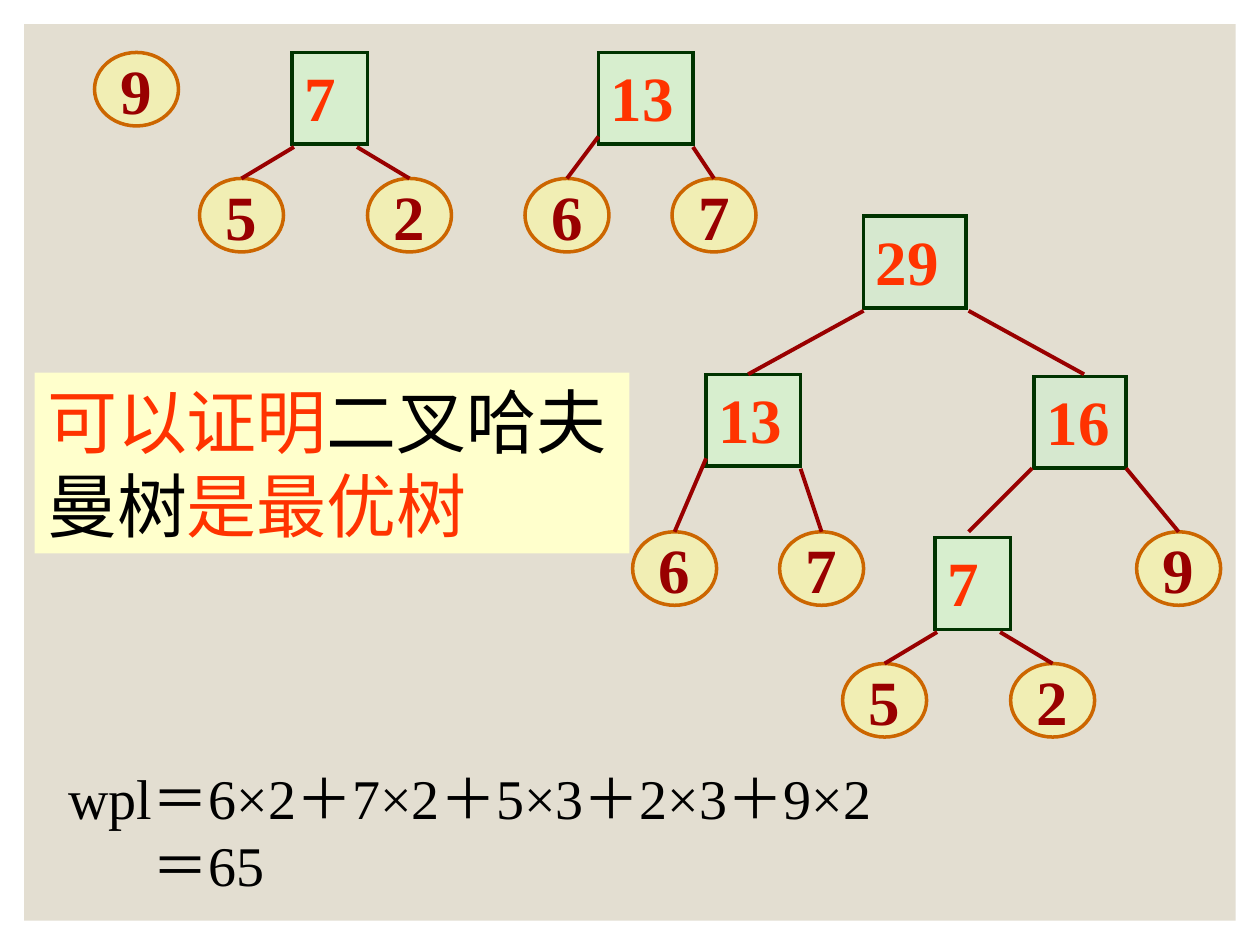
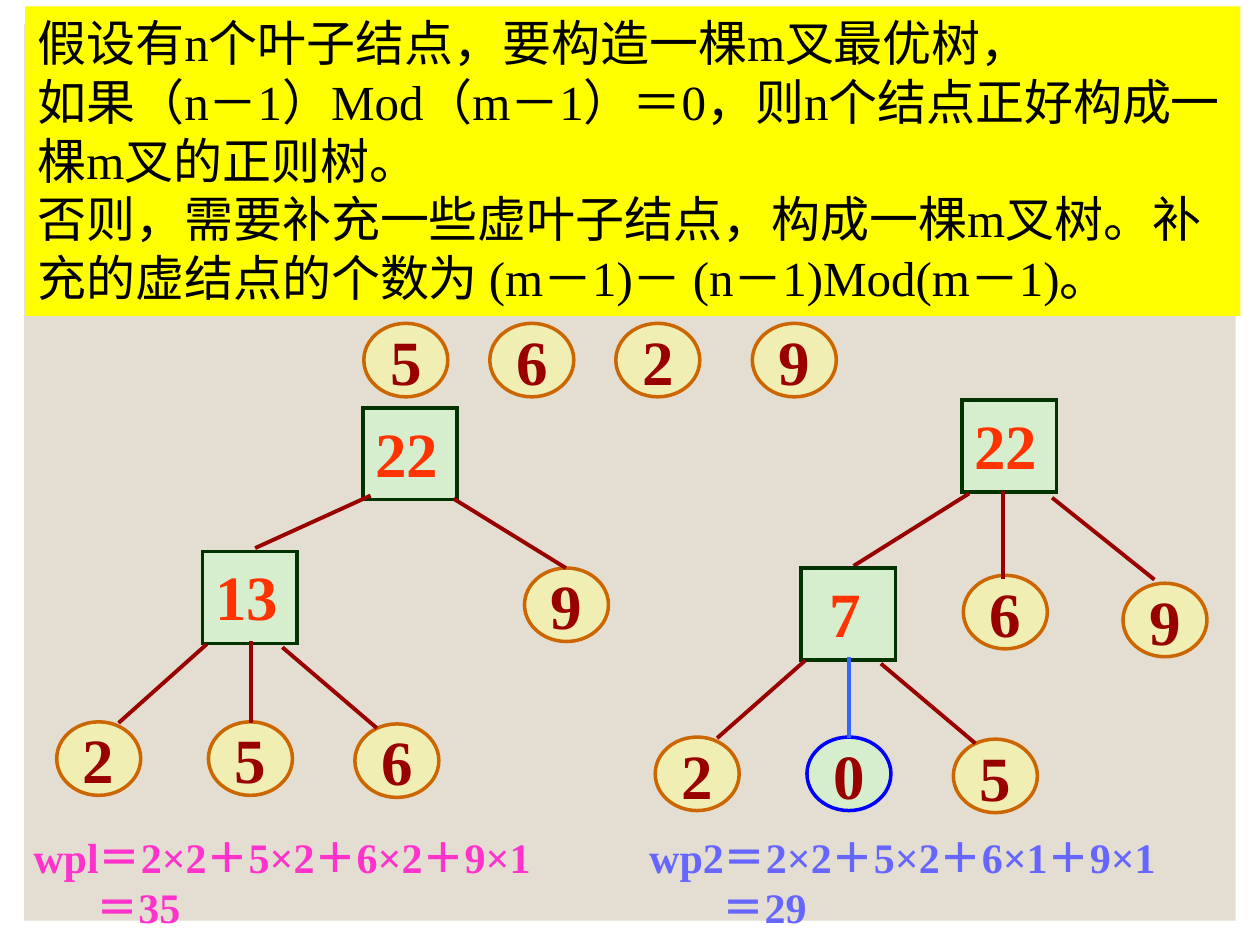
"""Two slides on optimal (Huffman) trees: the binary case and the m-ary case."""
from dataclasses import dataclass

from lxml import etree
from pptx import Presentation
from pptx import util as u
from pptx.dml.color import RGBColor
from pptx.enum import shapes, text
from pptx.oxml.ns import qn

COLUMNS, ROWS = 120, 90
CELL = u.Inches(10) // COLUMNS
FULL_WIDTH_SHIFT = 0xFEE0


@dataclass(frozen=True)
class Theme:
    """Colours, type sizes and node sizes (in cells) shared by both slides."""
    font: str = "Times New Roman"
    band: str = "E3DED1"
    ink: str = "000000"
    accent: str = "FF3300"
    leaf_fill: str = "FFFF99"
    leaf_line: str = "CC6600"
    leaf_text: str = "990000"
    edge: str = "990000"
    sum_fill: str = "CCFFCC"
    top_fill: str = "CAF2CE"
    sum_line: str = "003300"
    virtual_line: str = "0000FF"
    virtual_edge: str = "3366FF"
    claim_fill: str = "FFFFCC"
    rule_fill: str = "FFFF00"
    first_cost: str = "FF33CC"
    second_cost: str = "6666FF"
    node_size: int = 36
    claim_size: int = 40
    wpl_size: int = 32
    rule_size: int = 28
    cost_size: int = 24
    leaf: tuple = (8, 7)
    sum_height: float = 8.75
    sum_width: float = 9
    node_line: float = 2
    edge_line: float = 2.25


@dataclass(frozen=True)
class Family:
    """Cells from a subtree's corner: its sum box, leaves and edges.

    Leaves are (column, extra drop); edges are (x, y, end x, extra drop).
    """
    box: float
    width: float
    leaves: tuple
    edges: tuple


T = Theme()
NARROW_PAIR = Family(7, 9, ((0, 0), (14, 0)), ((7, 8, 4, 0), (16, 9, 18, 0)))
WIDE_PAIR = Family(8.8, 7.2, ((0, 0), (16, 0)), ((9, 9, 4, 0), (15, 9, 20, 0)))
TRIPLE = Family(13.9, 9, ((0, 0), (14.45, 0), (28.4, 0.2)),
                ((14.3, 8.8, 5.9, 0.1), (18.5, 8.5, 18.5, 0.1),
                 (21.5, 9.1, 30.5, 0.6)))


def cells(*counts):
    """Turn counts of grid cells into lengths."""
    return [u.Emu(round(count * CELL)) for count in counts]


def rgb(code):
    """Turn a hex code into a colour."""
    return RGBColor.from_string(code)


def wide(words, marks="=+-,()"):
    """Set the given marks in their full-width forms."""
    return words.translate({ord(mark): ord(mark) + FULL_WIDTH_SHIFT
                            for mark in marks})


def style_run(run, size, color, bold=False):
    """Give a run its type."""
    run.font.name, run.font.size, run.font.bold = T.font, u.Pt(size), bold
    run.font.color.rgb = rgb(color)


def add_panel(canvas, kind, place, fill, line=None, translucent=False):
    """Add a filled shape, outlined when a line colour is given."""
    panel = canvas.add_shape(kind, *cells(*place))
    panel.shadow.inherit = False
    panel.fill.solid()
    panel.fill.fore_color.rgb = rgb(fill)
    if translucent:
        color = panel.fill._xPr.find(".//" + qn("a:srgbClr"))
        etree.SubElement(color, qn("a:alpha"), val="50000")
    if line:
        panel.line.color.rgb = rgb(line)
        panel.line.width = u.Pt(T.node_line)
        outline = panel._element.spPr.find(qn("a:ln"))
        etree.SubElement(outline, qn("a:miter"), lim="800000")
    else:
        panel.line.fill.background()
    return panel


def write(holder, paragraphs, size, bold=False, indents=()):
    """Fill a shape with left-aligned paragraphs of (words, colour) runs."""
    frame = holder.text_frame
    frame.word_wrap = True
    frame.vertical_anchor = text.MSO_ANCHOR.TOP
    for index, pieces in enumerate(paragraphs):
        paragraph = frame.add_paragraph() if index else frame.paragraphs[0]
        paragraph.alignment = text.PP_ALIGN.LEFT
        if indents:
            properties = paragraph._p.get_or_add_pPr()
            properties.set("marL", str(u.Pt(indents[index])))
            properties.set("indent", "0")
        for words, color in pieces:
            run = paragraph.add_run()
            run.text = words
            style_run(run, size, color, bold)


def add_leaf(canvas, x, y, weight, virtual=False):
    """Add a round leaf; a virtual one is green and blue."""
    fill, line = ((T.sum_fill, T.virtual_line) if virtual
                  else (T.leaf_fill, T.leaf_line))
    leaf = add_panel(canvas, shapes.MSO_SHAPE.OVAL, (x, y, *T.leaf),
                     fill, line, translucent=True)
    frame = leaf.text_frame
    frame.text = str(weight)
    frame.word_wrap = False
    frame.vertical_anchor = text.MSO_ANCHOR.MIDDLE
    frame.paragraphs[0].alignment = text.PP_ALIGN.CENTER
    style_run(frame.paragraphs[0].runs[0], T.node_size, T.leaf_text, bold=True)


def add_sum(canvas, x, y, weight, width=T.sum_width, fill=T.sum_fill, indent=0):
    """Add the square of an inner node."""
    box = add_panel(canvas, shapes.MSO_SHAPE.RECTANGLE,
                    (x, y, width, T.sum_height), fill, T.sum_line,
                    translucent=True)
    write(box, [[(str(weight), T.accent)]], T.node_size, True, (indent,))


def add_edge(canvas, start, end, color=T.edge):
    """Draw a branch between two grid points."""
    edge = canvas.add_connector(shapes.MSO_CONNECTOR.STRAIGHT,
                                *cells(*start, *end))
    edge.line.color.rgb = rgb(color)
    edge.line.width = u.Pt(T.edge_line)
    etree.SubElement(edge._element.spPr, qn("a:effectLst"))


def add_family(slide, family, x, y, total, weights, drop, indent=0):
    """Add a grouped subtree; a leaf of weight 0 is virtual."""
    canvas = slide.shapes.add_group_shape().shapes
    add_sum(canvas, x + family.box, y, total, family.width, indent=indent)
    for weight, (column, extra) in zip(weights, family.leaves):
        add_leaf(canvas, x + column, y + drop + extra, weight, weight == 0)
    for weight, (x1, y1, x2, extra) in zip(weights, family.edges):
        add_edge(canvas, (x + x1, y + y1), (x + x2, y + drop + extra),
                 T.edge if weight else T.virtual_edge)


def add_note(slide, place, lines, size, color, bold, indents):
    """Add a sum written out over indented lines."""
    note = slide.shapes.add_textbox(*cells(*place))
    write(note, [[(wide(line), color)] for line in lines], size, bold, indents)


def add_caption(slide, place, paragraphs, size, fill):
    """Add a statement on a coloured panel."""
    panel = add_panel(slide.shapes, shapes.MSO_SHAPE.RECTANGLE, place, fill)
    write(panel, paragraphs, size)


def start_slide(deck):
    """Add a blank slide with the shared band."""
    slide = deck.slides.add_slide(deck.slide_layouts[6])
    add_panel(slide.shapes, shapes.MSO_SHAPE.RECTANGLE,
              (2.3, 2.3, COLUMNS - 4.6, ROWS - 4.6), T.band)
    return slide


def binary_slide(deck):
    """Build the binary tree and the subtrees it grew from."""
    slide = start_slide(deck)
    canvas = slide.shapes
    add_leaf(canvas, 9, 5, 9)
    add_family(slide, WIDE_PAIR, 19, 5, 7, (5, 2), 12)
    add_family(slide, NARROW_PAIR, 50, 5, 13, (6, 7), 12)

    add_sum(canvas, 82.25, 20.6, 29, 9.75, T.top_fill)
    add_sum(canvas, 98.5, 35.85, 16, 8.75, T.top_fill)
    add_leaf(canvas, 108.25, 50.65, 9)
    add_family(slide, NARROW_PAIR, 60.25, 35.65, 13, (6, 7), 15)
    add_family(slide, WIDE_PAIR, 80.25, 51.2, 7, (5, 2), 12)
    for start, end in (((82.25, 29.6), (71.25, 35.65)),
                       ((92.25, 29.6), (103.25, 35.65)),
                       ((98.3, 44.6), (92.25, 50.65)),
                       ((107.25, 44.6), (112.25, 50.65))):
        add_edge(canvas, start, end)

    add_note(slide, (4, 72.1, 99.5, 14), ("wpl=6×2+7×2+5×3+2×3+9×2", "=65"),
             T.wpl_size, T.ink, False, (8, 56))
    add_caption(slide, (3.3, 35.5, 56.65, 17.2),
                [[("可以证明", T.accent), ("二叉哈夫曼树", T.ink),
                  ("是最优树", T.accent)]], T.claim_size, T.claim_fill)


def ternary_slide(deck):
    """Build the rule for m-ary trees and two ternary trees to compare."""
    slide = start_slide(deck)
    canvas = slide.shapes
    for x, weight in zip((34.65, 46.65, 58.65, 71.65), (5, 6, 2, 9)):
        add_leaf(canvas, x, 30.8, weight)

    add_sum(canvas, 34.55, 38.85, 22)
    add_sum(canvas, 91.6, 38.1, 22)
    for x, y, weight in ((49.95, 54.1, 9), (91.75, 54.8, 6), (106.95, 55.55, 9)):
        add_leaf(canvas, x, y, weight)
    for start, end in (((35.3, 47.2), (24.3, 52.2)),
                       ((43.2, 47.5), (53.9, 54.1)),
                       ((92.3, 47), (81.3, 53.9)),
                       ((100.2, 47.4), (109.95, 55.2)),
                       ((95.5, 46.8), (95.5, 55.1))):
        add_edge(canvas, start, end)
    add_family(slide, TRIPLE, 5.4, 52.55, 13, (2, 5, 6), 16.2)
    add_family(slide, TRIPLE, 62.4, 54.1, 7, (2, 0, 5), 16.1, indent=9)

    for x, lines, color, indent in (
            (1, ("wpl=2×2+5×2+6×2+9×1", "=35"), T.first_cost, 42),
            (59.65, ("wp2=2×2+5×2+6×1+9×1", "=29"), T.second_cost, 48)):
        add_note(slide, (x, 78.6, 61.4, 10.8), lines, T.cost_size, color,
                 True, (6, indent))
    rule = (wide("假设有n个叶子结点,要构造一棵m叉最优树,"),
            wide("如果(n-1)Mod(m-1)=0,则n个结点正好构成一棵m叉的正则树。"),
            wide("否则,需要补充一些虚叶子结点,构成一棵m叉树。"
                 "补充的虚结点的个数为 (m-1)- (n-1)Mod(m-1)。", "-,"))
    add_caption(slide, (2.4, 0.6, 115.75, 29.5),
                [[(line, T.ink)] for line in rule], T.rule_size, T.rule_fill)


def main():
    """Build both slides and save them."""
    deck = Presentation()
    deck.slide_width, deck.slide_height = cells(COLUMNS, ROWS)
    binary_slide(deck)
    ternary_slide(deck)
    deck.save("out.pptx")


main()
